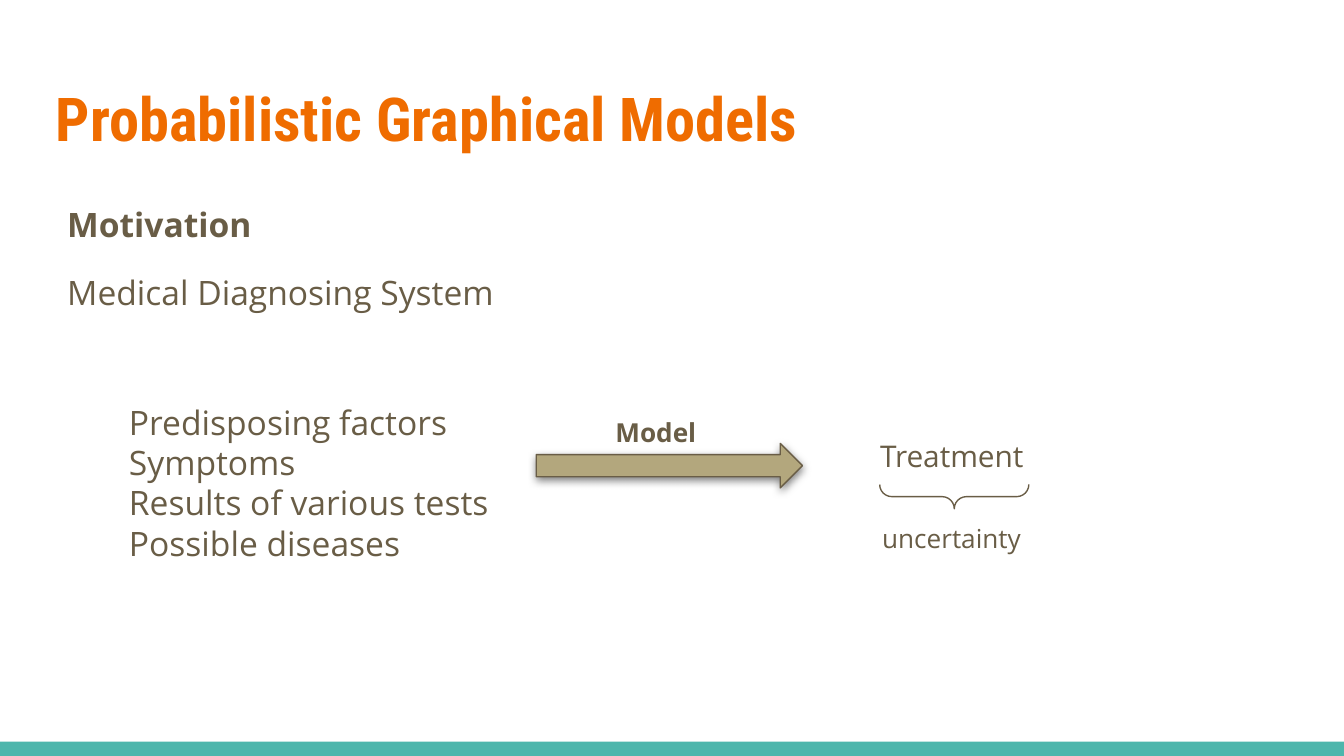
import dataclasses

import lxml.etree
import pptx
import pptx.dml.color
import pptx.enum.shapes
import pptx.enum.text
import pptx.oxml.ns
import pptx.util

Pt = pptx.util.Pt
Align = pptx.enum.text.PP_ALIGN
Anchor = pptx.enum.text.MSO_ANCHOR
Shape = pptx.enum.shapes.MSO_SHAPE
qn = pptx.oxml.ns.qn


@dataclasses.dataclass(frozen=True)
class Theme:
    title_font: str = "Roboto Condensed"
    body_font: str = "Open Sans"
    title_color: str = "EF6C00"
    text_color: str = "695D46"
    bar_color: str = "4DB6AC"
    arrow_color: str = "B3A77D"
    shadow_color: str = "000000"
    title_size: float = 32.4
    body_size: float = 18
    result_size: float = 16
    label_size: float = 14
    line_width: float = 0.75
    inset: float = 7.2


THEME = Theme()


def rgb(value):
    return pptx.dml.color.RGBColor.from_string(value)


def place(box, left, top, width, height):
    box.left, box.top = Pt(left), Pt(top)
    box.width, box.height = Pt(width), Pt(height)


def prepare_frame(frame, anchor=Anchor.TOP):
    frame.word_wrap = True
    frame.auto_size = pptx.enum.text.MSO_AUTO_SIZE.NONE
    frame.vertical_anchor = anchor
    frame.margin_left = frame.margin_right = Pt(THEME.inset)
    frame.margin_top = frame.margin_bottom = Pt(THEME.inset)


def write_span(para, text, size, bold=False, font=THEME.body_font, color=THEME.text_color):
    span = para.add_run()
    span.text = text
    span.font.name = font
    span.font.size = Pt(size)
    span.font.bold = bold
    span.font.color.rgb = rgb(color)


def next_para(frame, index):
    return frame.paragraphs[0] if index == 0 else frame.add_paragraph()


def fill_title(box, text):
    place(box, 15, 35.5, 671, 55)
    prepare_frame(box.text_frame, Anchor.MIDDLE)
    box.text_frame.margin_left = Pt(15)
    para = box.text_frame.paragraphs[0]
    para.alignment = Align.LEFT
    write_span(para, text, THEME.title_size, True, THEME.title_font, THEME.title_color)


def fill_body(box, heading, detail):
    place(box, 28.8, 98.6, 671, 260)
    prepare_frame(box.text_frame)
    for index, (text, bold, gap) in enumerate([(heading, True, 0), (detail, False, 12)]):
        para = next_para(box.text_frame, index)
        para.line_spacing = 1.15
        para.space_before = Pt(gap)
        properties = para._p.get_or_add_pPr()
        properties.set("marL", "0")
        properties.set("indent", "0")
        lxml.etree.SubElement(properties, qn("a:buNone"))
        write_span(para, text, THEME.body_size, bold)


def add_text(page, frame, lines, size, bold=False, align=Align.LEFT):
    box = page.shapes.add_textbox(0, 0, 0, 0)
    place(box, *frame)
    prepare_frame(box.text_frame)
    for index, line in enumerate(lines):
        para = next_para(box.text_frame, index)
        para.alignment = align
        write_span(para, line, size, bold)


def add_figure(page, kind, frame, fill=None, line=None):
    figure = page.shapes.add_shape(kind, 0, 0, 0, 0)
    place(figure, *frame)
    figure.shadow.inherit = False
    if fill:
        figure.fill.solid()
        figure.fill.fore_color.rgb = rgb(fill)
    else:
        figure.fill.background()
    if line:
        figure.line.color.rgb = rgb(line)
        figure.line.width = Pt(THEME.line_width)
    else:
        figure.line.fill.background()
    return figure


def add_drop_shadow(figure, blur, distance, opacity):
    effects = figure._element.spPr.find(qn("a:effectLst"))
    shadow = lxml.etree.SubElement(
        effects, qn("a:outerShdw"), blurRad=str(Pt(blur)), dist=str(Pt(distance)),
        dir=str(90 * 60000), algn="bl", rotWithShape="0")
    color = lxml.etree.SubElement(shadow, qn("a:srgbClr"), val=THEME.shadow_color)
    lxml.etree.SubElement(color, qn("a:alpha"), val=str(opacity * 1000))


def add_model_arrow(page):
    arrow = add_figure(page, Shape.RIGHT_ARROW, (287.3, 237.6, 142.6, 23.8),
                       THEME.arrow_color, THEME.text_color)
    add_drop_shadow(arrow, 4.5, 1.5, 50)
    add_text(page, (295.2, 216, 112.3, 31.7), ["Model"], THEME.label_size, True, Align.CENTER)


def add_outcome(page):
    add_text(page, (464.4, 227.5, 93.6, 33.8), ["Treatment"], THEME.result_size)
    brace = add_figure(page, Shape.LEFT_BRACE, (504.7, 226.1, 13, 79.9), line=THEME.text_color)
    brace.adjustments[0] = 0.5
    brace.rotation = 270
    add_text(page, (463, 272.9, 93.6, 31.7), ["uncertainty"], THEME.label_size, align=Align.CENTER)


def main():
    deck = pptx.Presentation()
    deck.slide_width, deck.slide_height = Pt(720), Pt(405)
    page = deck.slides.add_slide(deck.slide_layouts[1])
    fill_title(page.shapes.title, "Probabilistic Graphical Models")
    fill_body(page.placeholders[1], "Motivation", "Medical Diagnosing System")
    add_figure(page, Shape.RECTANGLE, (0, 397.4, 720, 7.6), THEME.bar_color)
    findings = ["Predisposing factors", "Symptoms", "Results of various tests", "Possible diseases"]
    add_text(page, (62, 208, 239, 101.5), findings, THEME.body_size)
    add_model_arrow(page)
    add_outcome(page)
    deck.save("out.pptx")


if __name__ == "__main__":
    main()
